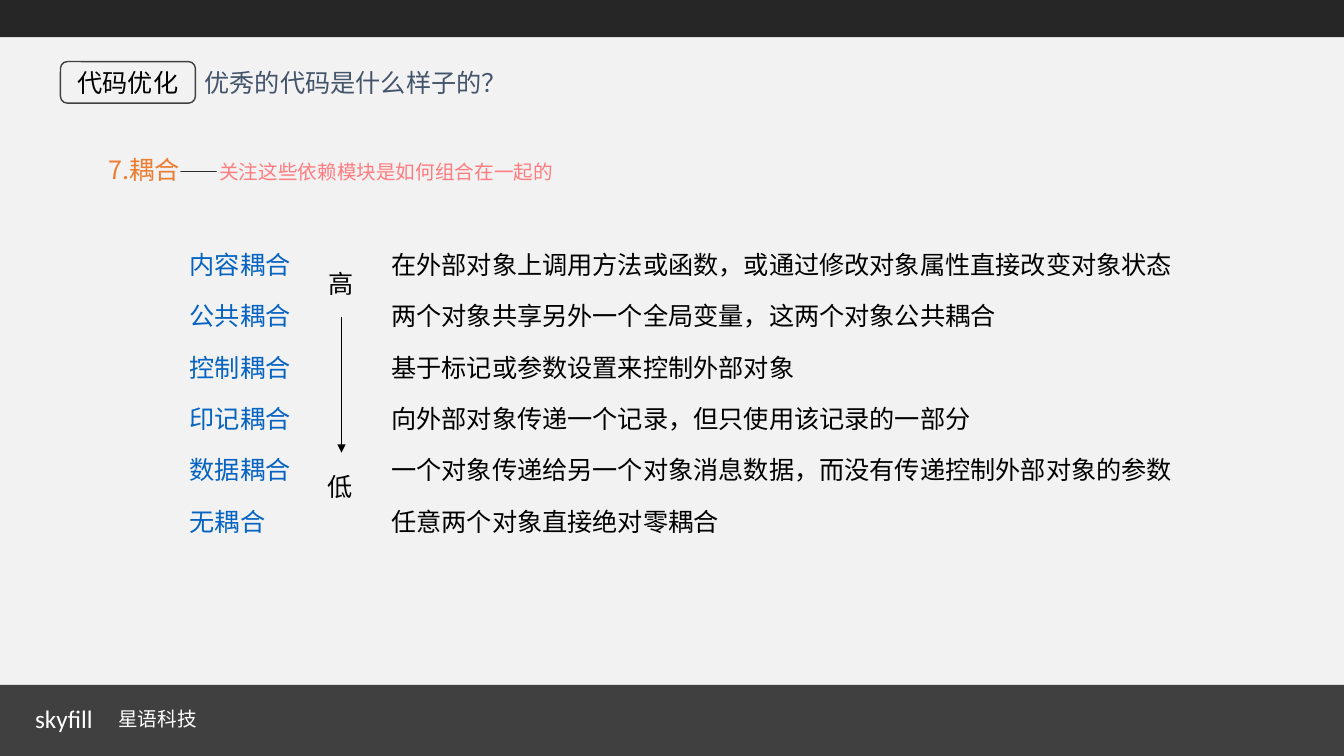
import pptx
import pptx.util
import pptx.dml.color
import pptx.enum.shapes
import pptx.enum.text
import pptx.oxml.ns
import lxml.etree

RGB = pptx.dml.color.RGBColor
INK, WHITE, PAPER = RGB(0, 0, 0), RGB(255, 255, 255), RGB(0xF2, 0xF2, 0xF2)
HEADER_GREY, FOOTER_GREY = RGB(0x26, 0x26, 0x26), RGB(0x40, 0x40, 0x40)
SLATE, BLUE = RGB(0x44, 0x54, 0x6A), RGB(0x05, 0x63, 0xC1)
ORANGE, PINK = RGB(0xED, 0x7D, 0x31), RGB(0xFF, 0x7C, 0x80)
LATIN, CJK = "Calibri", "Noto Sans CJK SC"

# Content
BADGE = "代码优化"
TITLE = "优秀的代码是什么样子的？"
HEADING, DASH, REMARK = "7.耦合", "——", "关注这些依赖模块是如何组合在一起的"
COUPLINGS = [
    ("内容耦合", "在外部对象上调用方法或函数，或通过修改对象属性直接改变对象状态"),
    ("公共耦合", "两个对象共享另外一个全局变量，这两个对象公共耦合"),
    ("控制耦合", "基于标记或参数设置来控制外部对象"),
    ("印记耦合", "向外部对象传递一个记录，但只使用该记录的一部分"),
    ("数据耦合", "一个对象传递给另一个对象消息数据，而没有传递控制外部对象的参数"),
    ("无耦合", "任意两个对象直接绝对零耦合"),
]
HIGH, LOW = "高", "低"
BRAND, BRAND_CN = "skyfill", "星语科技"

# Places, in percent of the slide: left, top, width, height
HEADER_BAR = (0, 0, 100, 4.93)
FOOTER_BAR = (0, 90.6, 100, 9.4)
BADGE_BOX = (4.5, 8.15, 10.04, 5.5)
TITLE_BOX = (14.47, 8.27, 33.06, 5.33)
HEADING_BOX = (7.35, 19.73, 41.6, 5.33)
LIST_BOX = (13.37, 29.5, 79.09, 42.13)
HIGH_BOX = (23.69, 34.8, 3.45, 5.33)
LOW_BOX = (23.61, 61.65, 3.45, 5.33)
BRAND_BOX = (1.87, 92.4, 6.37, 5.33)
BRAND_CN_BOX = (8.06, 92.8, 13.64, 4.53)
ARROW = (25.41, 41.87, 25.41, 59.87)  # from x, y to x, y
DESCRIPTION_TAB = pptx.util.Inches(2)

deck = pptx.Presentation()
deck.slide_width = pptx.util.Inches(13.34)
deck.slide_height = pptx.util.Inches(7.5)
slide = deck.slides.add_slide(deck.slide_layouts[1])
slide.background.fill.solid()
slide.background.fill.fore_color.rgb = PAPER


def place(percents):
    sides = (deck.slide_width, deck.slide_height) * 2
    return [round(side * share / 100) for side, share in zip(sides, percents)]


def add_xml(parent, tag, **attributes):
    return lxml.etree.SubElement(parent, pptx.oxml.ns.qn(tag), attributes)


def write(paragraph, text, color=INK, size=18, font=LATIN):
    run = paragraph.add_run()
    run.text = text
    run.font.size = pptx.util.Pt(size)
    run.font.color.rgb = color
    run.font.name = font
    add_xml(run.font._element, "a:ea", typeface=CJK)


def prepare(holder, box=None, anchor=pptx.enum.text.MSO_ANCHOR.TOP,
            align=pptx.enum.text.PP_ALIGN.LEFT):
    if box:
        holder.left, holder.top, holder.width, holder.height = place(box)
    frame = holder.text_frame
    frame.word_wrap = True
    frame.auto_size = pptx.enum.text.MSO_AUTO_SIZE.NONE
    frame.vertical_anchor = anchor
    frame.paragraphs[0].alignment = align
    return frame


def add_text(box, *runs):
    paragraph = prepare(slide.shapes.add_textbox(*place(box))).paragraphs[0]
    for text, style in runs:
        write(paragraph, text, **style)


# Header and footer bars
for box, color in ((FOOTER_BAR, FOOTER_GREY), (HEADER_BAR, HEADER_GREY)):
    bar = slide.shapes.add_shape(pptx.enum.shapes.MSO_SHAPE.RECTANGLE, *place(box))
    bar.shadow.inherit = False
    bar.fill.solid()
    bar.fill.fore_color.rgb = color
    bar.line.fill.background()

# Badge and title
badge = slide.shapes.add_shape(
    pptx.enum.shapes.MSO_SHAPE.ROUNDED_RECTANGLE, *place(BADGE_BOX))
badge.shadow.inherit = False
badge.fill.background()
badge.line.color.rgb = FOOTER_GREY
badge.line.width = pptx.util.Pt(1)
badge_frame = prepare(badge, anchor=pptx.enum.text.MSO_ANCHOR.MIDDLE,
                      align=pptx.enum.text.PP_ALIGN.CENTER)
write(badge_frame.paragraphs[0], BADGE)
title_frame = prepare(slide.shapes.title, TITLE_BOX)
write(title_frame.paragraphs[0], TITLE, color=SLATE, font=CJK)

# Kinds of coupling, each with its description one tab width further
couplings_frame = prepare(slide.placeholders[1], LIST_BOX)
for index, (kind, description) in enumerate(COUPLINGS):
    row = couplings_frame.add_paragraph() if index else couplings_frame.paragraphs[0]
    properties = row._p.get_or_add_pPr()
    properties.set("marL", "0")
    properties.set("indent", "0")
    properties.set("defTabSz", str(DESCRIPTION_TAB))
    add_xml(properties, "a:buNone")
    row.line_spacing = 1.7
    row.space_before = pptx.util.Pt(0)
    write(row, kind + "\t", color=BLUE)
    write(row, description)

# Heading, scale ends and brand
add_text(HEADING_BOX, (HEADING, dict(color=ORANGE, font=CJK)),
         (DASH, dict(size=14, font=CJK)),
         (REMARK, dict(color=PINK, size=14, font=CJK)))
add_text(HIGH_BOX, (HIGH, {}))
add_text(LOW_BOX, (LOW, {}))
add_text(BRAND_BOX, (BRAND, dict(color=WHITE)))
add_text(BRAND_CN_BOX, (BRAND_CN, dict(color=WHITE, size=14, font=CJK)))

# Arrow from high to low
arrow = slide.shapes.add_connector(
    pptx.enum.shapes.MSO_CONNECTOR.STRAIGHT, *place(ARROW))
arrow.line.color.rgb = INK
arrow.line.width = pptx.util.Pt(0.75)
add_xml(arrow.line._get_or_add_ln(), "a:tailEnd", type="triangle")
add_xml(arrow._element.spPr, "a:effectLst")

deck.save("out.pptx")
